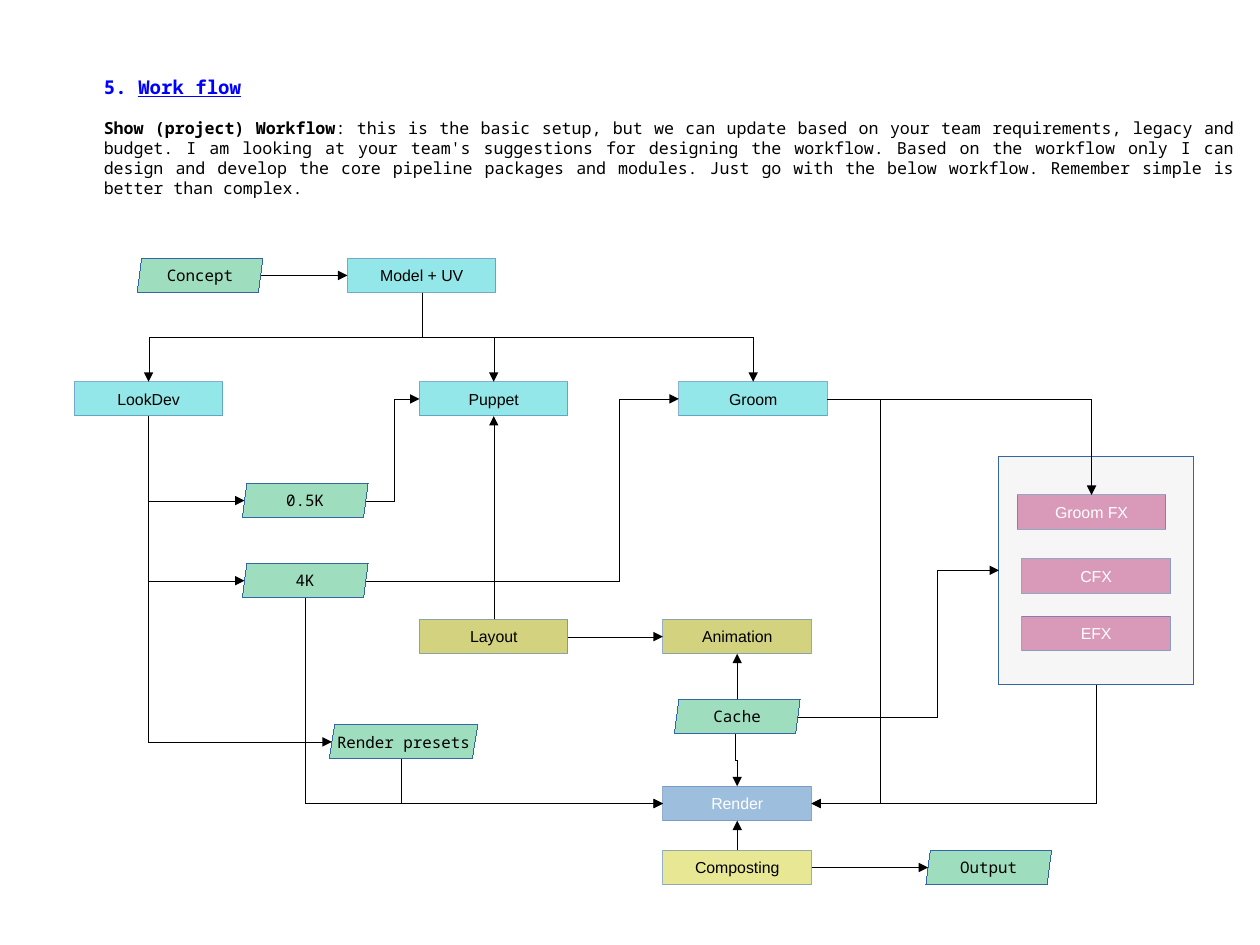
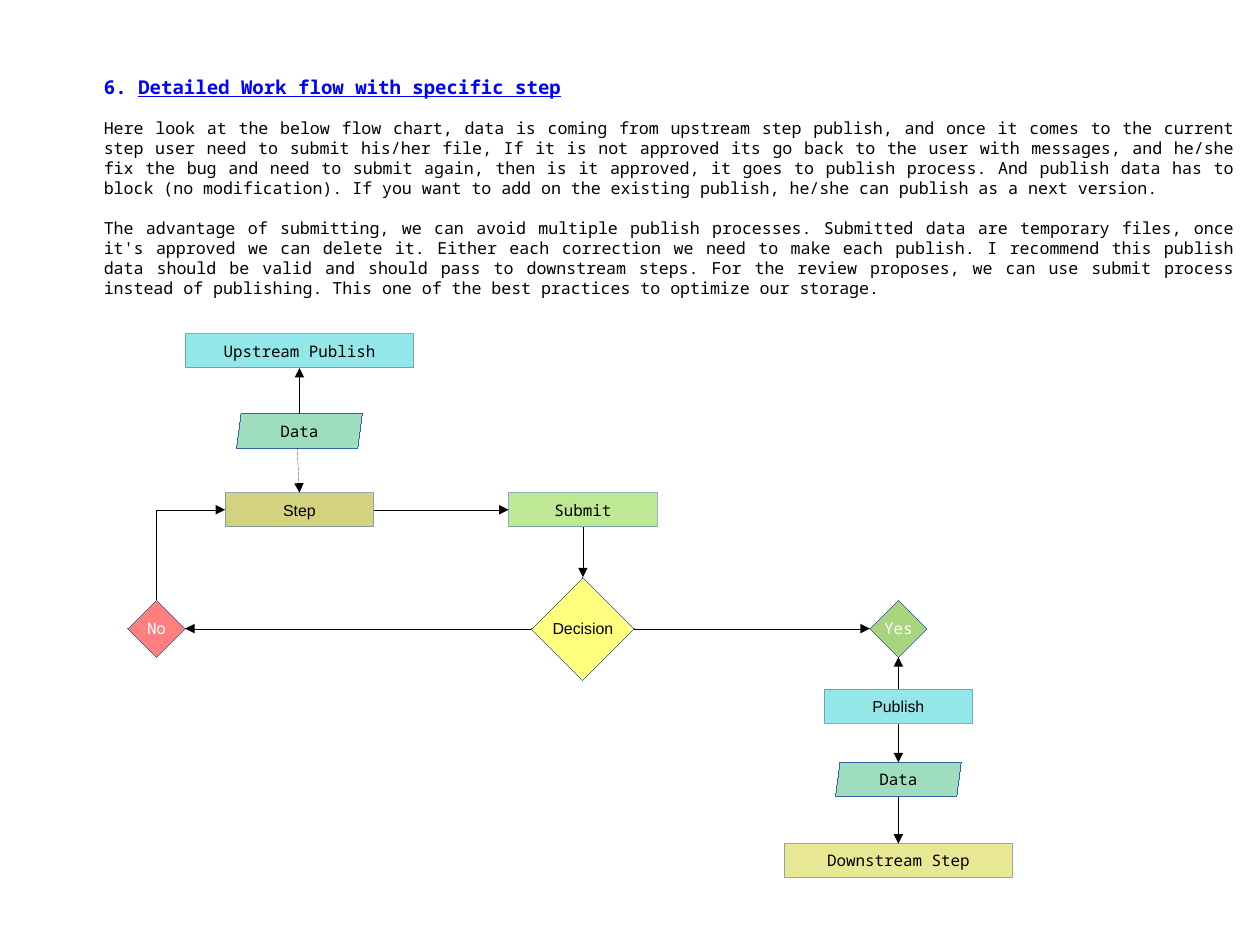
from lxml import etree
from pptx import Presentation, util as u
from pptx.dml.color import RGBColor
from pptx.enum import shapes, text
from pptx.oxml.ns import qn

INK = RGBColor(0x00, 0x00, 0x00)
WHITE = RGBColor(0xFF, 0xFF, 0xFF)
TITLE = RGBColor(0x00, 0x00, 0xFF)
EDGE = RGBColor(0x34, 0x65, 0xA4)
CYAN = RGBColor(0x2B, 0xD0, 0xD2)
GREEN = RGBColor(0x3F, 0xBE, 0x7E)
OLIVE = RGBColor(0xA8, 0xA6, 0x00)
BLUE = RGBColor(0x3F, 0x7E, 0xBE)
GOLD = RGBColor(0xD2, 0xD0, 0x2B)
PINK = RGBColor(0xBE, 0x3F, 0x7E)
GREY = RGBColor(0xEE, 0xEE, 0xEE)
LIME = RGBColor(0x7E, 0xD2, 0x2B)
YELLOW = RGBColor(0xFF, 0xFF, 0x00)
LEAF = RGBColor(0x53, 0xA8, 0x00)
RED = RGBColor(0xFF, 0x00, 0x00)

MONO, SANS = "Noto Sans Mono", "Arial"
WIDE, HIGH = u.Cm(28), u.Cm(21)
LEFT, SPAN = 0.81, 10.09
BOX = shapes.MSO_SHAPE.RECTANGLE
SLANT = shapes.MSO_SHAPE.PARALLELOGRAM
GEM = shapes.MSO_SHAPE.DIAMOND

STYLES = {
    "data": (SLANT, 1.1, 0.3, GREEN, MONO, INK),
    "preset": (SLANT, 1.3, 0.3, GREEN, MONO, INK),
    "asset": (BOX, 1.3, 0.3, CYAN, SANS, INK),
    "shot": (BOX, 1.3, 0.3, OLIVE, SANS, INK),
    "render": (BOX, 1.3, 0.3, BLUE, SANS, WHITE),
    "comp": (BOX, 1.3, 0.3, GOLD, SANS, INK),
    "fx": (BOX, 1.3, 0.3, PINK, SANS, WHITE),
    "panel": (BOX, 1.7, 2, GREY, SANS, INK),
    "submit": (BOX, 1.3, 0.3, LIME, MONO, INK),
    "source": (BOX, 2, 0.3, CYAN, MONO, INK),
    "target": (BOX, 2, 0.3, GOLD, MONO, INK),
    "choice": (GEM, 0.9, 0.9, YELLOW, SANS, INK),
    "yes": (GEM, 0.5, 0.5, LEAF, MONO, WHITE),
    "no": (GEM, 0.5, 0.5, RED, MONO, WHITE),
}
SLANTS = {"data": 0.13, "preset": 0.16}

PAGES = [
    {
        "title": ("5. ", "Work flow"),
        "body": [("Show (project) Workflow",
                  ": this is the basic setup, but we can update based on your team requirements, legacy and budget. I am looking at your team's suggestions for designing the workflow. Based on the workflow only I can design and develop the core pipeline packages and modules. Just go with the below workflow. Remember simple is better than complex.")],
        "nodes": {
            "concept": ("Concept", "data", 1.2, 2.26),
            "model": ("Model + UV", "asset", 3.04, 2.26),
            "look": ("LookDev", "asset", 0.65, 3.34),
            "puppet": ("Puppet", "asset", 3.67, 3.34),
            "groom": ("Groom", "asset", 5.94, 3.34),
            "half": ("0.5K", "data", 2.12, 4.23),
            "four": ("4K", "data", 2.12, 4.93),
            "layout": ("Layout", "shot", 3.67, 5.42),
            "anim": ("Animation", "shot", 5.8, 5.42),
            "cache": ("Cache", "data", 5.9, 6.12),
            "preset": ("Render presets", "preset", 2.88, 6.34),
            "render": ("Render", "render", 5.8, 6.88),
            "comp": ("Composting", "comp", 5.8, 7.44),
            "output": ("Output", "data", 8.1, 7.44),
            "panel": ("", "panel", 8.74, 3.99),
            "hair": ("Groom FX", "fx", 8.9, 4.33),
            "cfx": ("CFX", "fx", 8.94, 4.89),
            "efx": ("EFX", "fx", 8.94, 5.39),
        },
        "links": [
            ("concept", "right", "model", "left"),
            ("model", "bottom", "look", "top"),
            ("model", "bottom", "groom", "top"),
            ("model", "bottom", "puppet", "top"),
            ("look", "bottom", "half", "left"),
            ("look", "bottom", "four", "left"),
            ("look", "bottom", "preset", "left"),
            ("half", "right", "puppet", "left", 3.45),
            ("four", "right", "groom", "left", 5.42),
            ("four", "bottom", "render", "left"),
            ("layout", "top", "puppet", "bottom"),
            ("layout", "right", "anim", "left"),
            ("cache", "top", "anim", "bottom"),
            ("cache", "foot", "render", "top", 0),
            ("cache", "right", "panel", "left", 8.2),
            ("groom", "right", "render", "right", 7.7),
            ("groom", "right", "hair", "top"),
            ("panel", "bottom", "render", "right"),
            ("preset", "foot", "render", "left"),
            ("comp", "top", "render", "bottom"),
            ("comp", "right", "output", "left"),
        ],
    },
    {
        "title": ("6. ", "Detailed Work flow with specific step"),
        "body": [
            ("", "Here look at the below flow chart, data is coming from upstream step publish, and once it comes to the current step user need to submit his/her file, If it is not approved its go back to the user with messages, and he/she fix the bug and need to submit again, then is it approved, it goes to publish process. And publish data has to block (no modification). If you want to add on the existing publish, he/she can publish as a next version."),
            ("", "The advantage of submitting, we can avoid multiple publish processes. Submitted data are temporary files, once it's approved we can delete it. Either each correction we need to make each publish. I recommend this publish data should be valid and should pass to downstream steps. For the review proposes, we can use submit process instead of publishing. This one of the best practices to optimize our storage."),
        ],
        "nodes": {
            "source": ("Upstream Publish", "source", 1.62, 2.92),
            "input": ("Data", "data", 2.07, 3.62),
            "step": ("Step", "shot", 1.97, 4.31),
            "submit": ("Submit", "submit", 4.45, 4.31),
            "choice": ("Decision", "choice", 4.65, 5.05),
            "no": ("No", "no", 1.12, 5.25),
            "yes": ("Yes", "yes", 7.61, 5.25),
            "publish": ("Publish", "asset", 7.21, 6.03),
            "output": ("Data", "data", 7.31, 6.67),
            "target": ("Downstream Step", "target", 6.86, 7.38),
        },
        "links": [
            ("input", "top", "source", "bottom"),
            ("input", "foot", "step", "top"),
            ("step", "right", "submit", "left"),
            ("submit", "bottom", "choice", "top"),
            ("choice", "left", "no", "right"),
            ("choice", "right", "yes", "left"),
            ("no", "top", "step", "left"),
            ("publish", "top", "yes", "bottom"),
            ("publish", "bottom", "output", "top"),
            ("output", "bottom", "target", "top"),
        ],
    },
]

SIDES = {"top": (0.5, 0), "left": (0, 0.5), "bottom": (0.5, 1),
         "right": (1, 0.5), "foot": (0.5, 1)}
SITES = {"top": 0, "left": 1, "bottom": 2, "right": 3}
SLANT_SITES = {"top": 0, "left": 2, "foot": 3, "bottom": 4, "right": 5}
LEVEL = ("left", "right")


def write(para, parts, size, color):
    para.alignment = text.PP_ALIGN.JUSTIFY
    font = para.font
    font.name, font.size, font.color.rgb = MONO, u.Pt(size), color
    runs = []
    for part in parts:
        if part:
            run = para.add_run()
            run.text = part
            runs.append(run)
    return runs


def set_frame(frame):
    frame.word_wrap = True
    frame.auto_size = text.MSO_AUTO_SIZE.NONE
    frame.vertical_anchor = text.MSO_ANCHOR.TOP


def set_line(item, color):
    item.line.color.rgb = color
    line = item._element.spPr.find(qn("a:ln"))
    line.set("w", "0")
    return line


def add_head(slide, page):
    head = slide.shapes.title
    head.left, head.top, head.width, head.height = map(
        u.Inches, (LEFT, 0.61, SPAN, 0.3))
    set_frame(head.text_frame)
    para = head.text_frame.paragraphs[0]
    runs = write(para, page["title"], 12, TITLE)
    para.font.bold = True
    runs[1].font.underline = True

    high = 0.8 * len(page["body"])
    area = slide.shapes.add_textbox(*map(u.Inches, (LEFT, 0.98, SPAN, high)))
    set_frame(area.text_frame)
    for i, parts in enumerate(page["body"]):
        para = area.text_frame.add_paragraph() if i else area.text_frame.paragraphs[0]
        para.space_before = u.Pt(12.6 if i else 0)
        runs = write(para, parts, 10.5, INK)
        if parts[0]:
            runs[0].font.bold = True


def add_node(slide, label, style, x, y):
    form, wide, high, fill, face, color = STYLES[style]
    node = slide.shapes.add_shape(form, *map(u.Inches, (x, y, wide, high)))
    node.shadow.inherit = False
    node.fill.solid()
    node.fill.fore_color.rgb = fill
    set_line(node, EDGE)
    if style in SLANTS:
        node.adjustments[0] = SLANTS[style]
    tones = list(node._element.spPr.iter(qn("a:srgbClr")))
    clear = tones if form == BOX and style != "panel" else tones[:1]
    for tone in clear:
        etree.SubElement(tone, qn("a:alpha"), val="50000")
    if label:
        frame = node.text_frame
        frame.word_wrap = False
        frame.vertical_anchor = text.MSO_ANCHOR.MIDDLE
        para = frame.paragraphs[0]
        para.text = label
        para.alignment = text.PP_ALIGN.CENTER
        para.font.name, para.font.size = face, u.Pt(10)
        para.font.color.rgb = color
    return node


def get_port(node, side):
    slant = node.auto_shape_type == SLANT
    across, down = SIDES[side]
    x = node.left + node.width * across
    shift = node.height * node.adjustments[0] / 2 if slant else 0
    x += {"left": shift, "right": -shift, "foot": -shift}.get(side, 0)
    return int(x), int(node.top + node.height * down), (SLANT_SITES if slant else SITES)[side]


def turn(wire, dx, dy):
    frame = wire._element.spPr.find(qn("a:xfrm"))
    mid_x, mid_y = wire.left + wire.width // 2, wire.top + wire.height // 2
    wide, high = wire.height, wire.width
    wire.left, wire.top = mid_x - wide // 2, mid_y - high // 2
    wire.width, wire.height = wide, high
    frame.set("rot", str((90 if dx * dy < 0 else 270) * 60000))
    frame.set("flipH", str(int(dx > 0)))
    frame.set("flipV", str(int(dy < 0)))


def add_link(slide, nodes, start, out, end, into, bend=None):
    x1, y1, site1 = get_port(nodes[start], out)
    x2, y2, site2 = get_port(nodes[end], into)
    dx, dy = x2 - x1, y2 - y1
    plain = bend is None and min(abs(dx), abs(dy)) < u.Inches(0.03)
    kind = shapes.MSO_CONNECTOR.STRAIGHT if plain else shapes.MSO_CONNECTOR.ELBOW
    wire = slide.shapes.add_connector(kind, x1, y1, x2, y2)
    etree.SubElement(set_line(wire, INK), qn("a:tailEnd"), type="triangle")
    props = wire._element.spPr
    etree.SubElement(props, qn("a:effectLst"))
    if not plain:
        geom = props.find(qn("a:prstGeom"))
        if (out in LEVEL) != (into in LEVEL):
            geom.set("prst", "bentConnector2")
        else:
            share = (u.Inches(bend) - x1) / dx if bend else 0.5
            etree.SubElement(geom.find(qn("a:avLst")), qn("a:gd"),
                             name="adj1", fmla=f"val {round(share * 100000)}")
        if out not in LEVEL:
            turn(wire, dx, dy)
    ends = next(wire._element.iter(qn("p:cNvCxnSpPr")))
    for tag, key, site in (("a:stCxn", start, site1), ("a:endCxn", end, site2)):
        etree.SubElement(ends, qn(tag), id=str(nodes[key].shape_id), idx=str(site))


def main():
    deck = Presentation()
    deck.slide_width, deck.slide_height = WIDE, HIGH
    for page in PAGES:
        slide = deck.slides.add_slide(deck.slide_layouts[5])
        add_head(slide, page)
        nodes = {key: add_node(slide, *node) for key, node in page["nodes"].items()}
        for link in page["links"]:
            add_link(slide, nodes, *link)
    deck.save("out.pptx")


if __name__ == "__main__":
    main()
